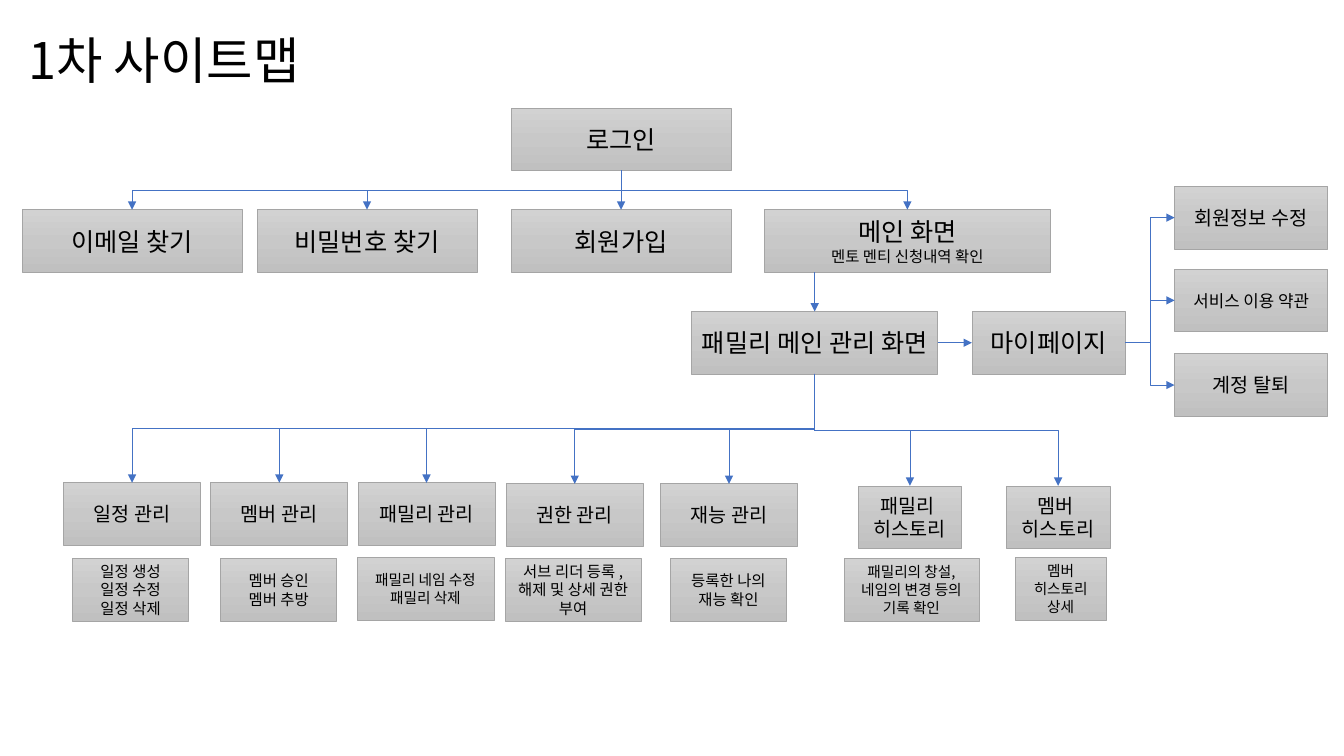
import copy

import pptx
import pptx.dml.color
import pptx.enum.shapes
import pptx.enum.text
import pptx.oxml.ns
import pptx.util
from lxml import etree

PX = 9144
FONT = "Noto Sans CJK KR"
BLACK = pptx.dml.color.RGBColor(0x00, 0x00, 0x00)
BLUE = pptx.dml.color.RGBColor(0x44, 0x72, 0xC4)
BORDER = pptx.dml.color.RGBColor(0xA5, 0xA5, 0xA5)
GRAYS = [
    pptx.dml.color.RGBColor(0xD2, 0xD2, 0xD2),
    pptx.dml.color.RGBColor(0xC8, 0xC8, 0xC8),
    pptx.dml.color.RGBColor(0xC0, 0xC0, 0xC0),
]
PAGE_HEIGHT = 62

MENUS = [
    ((63, 479, 136), ["일정 관리"], (72, 554, 115), 11, ["일정 생성", "일정 수정", "일정 삭제"]),
    ((209, 479, 136), ["멤버 관리"], (219, 554, 115), 11, ["멤버 승인", "멤버 추방"]),
    ((355, 479, 136), ["패밀리 관리"], (354, 553, 136), 10.5, ["패밀리 네임 수정", "패밀리 삭제"]),
    ((502, 480, 136), ["권한 관리"], (501, 554, 135), 11, ["서브 리더 등록 , 해제 및 상세 권한 부여"]),
    ((655, 480, 136), ["재능 관리"], (665, 554, 115), 11, ["등록한 나의 재능 확인"]),
    ((851, 482, 103), ["패밀리 ", "히스토리"], (837, 554, 134), 10.5, ["패밀리의 창설, 네임의 변경 등의 기록 확인"]),
    ((998, 482, 103), ["멤버 ", "히스토리"], (1007, 553, 90), 10.5, ["멤버", "히스토리 상세"]),
]
ACCOUNT_PAGES = [
    (185, 14, "회원정보 수정"),
    (267, 12, "서비스 이용 약관"),
    (351, 14, "계정 탈퇴"),
]


def px(length):
    return pptx.util.Emu(round(length * PX))


def add_run(paragraph, text, size):
    run = paragraph.add_run()
    run.text = text
    run.font.name = FONT
    run.font.size = pptx.util.Pt(size)
    run.font.color.rgb = BLACK
    east_asian = etree.SubElement(run.font._element, pptx.oxml.ns.qn("a:ea"))
    east_asian.set("typeface", FONT)


def add_line(frame, text, size):
    paragraph = frame.paragraphs[0]
    if paragraph.runs:
        paragraph = frame.add_paragraph()
    paragraph.alignment = pptx.enum.text.PP_ALIGN.CENTER
    add_run(paragraph, text, size)


def fill_gray(page):
    page.fill.gradient()
    page.fill.gradient_angle = 270
    stops = page._element.spPr.find(".//" + pptx.oxml.ns.qn("a:gsLst"))
    stops.insert(1, copy.deepcopy(stops[0]))
    for stop, position, gray in zip(page.fill.gradient_stops, (0, 0.5, 1), GRAYS):
        stop.position = position
        stop.color.rgb = gray


def add_page(slide, place, size, lines):
    left, top, width = place
    page = slide.shapes.add_shape(
        pptx.enum.shapes.MSO_SHAPE.RECTANGLE, px(left), px(top), px(width), px(PAGE_HEIGHT))
    page.shadow.inherit = False
    fill_gray(page)
    page.line.color.rgb = BORDER
    page.line.width = pptx.util.Pt(0.5)
    page.text_frame.word_wrap = True
    page.text_frame.vertical_anchor = pptx.enum.text.MSO_ANCHOR.MIDDLE
    for line in lines:
        add_line(page.text_frame, line, size)
    return page


def add_arrow(slide, kind, start, end):
    arrow = slide.shapes.add_connector(
        kind, *(pptx.util.Emu(round(value)) for value in (*start, *end)))
    arrow.line.color.rgb = BLUE
    arrow.line.width = pptx.util.Pt(0.5)
    head = etree.SubElement(arrow.line._get_or_add_ln(), pptx.oxml.ns.qn("a:tailEnd"))
    head.set("type", "triangle")
    etree.SubElement(arrow._element.spPr, pptx.oxml.ns.qn("a:effectLst"))
    return arrow


def link_straight(slide, start, end):
    add_arrow(slide, pptx.enum.shapes.MSO_CONNECTOR.STRAIGHT, start, end)


def link_down(slide, parent, child):
    start_x, start_y = parent.left + parent.width / 2, parent.top + parent.height
    end_x, end_y = child.left + child.width / 2, child.top
    middle_x, middle_y = (start_x + end_x) / 2, (start_y + end_y) / 2
    half_drop, half_run = (end_y - start_y) / 2, abs(end_x - start_x) / 2
    if end_x > start_x:
        half_drop, angle = -half_drop, 270
    else:
        angle = 90
    arrow = add_arrow(
        slide, pptx.enum.shapes.MSO_CONNECTOR.ELBOW,
        (middle_x - half_drop, middle_y - half_run),
        (middle_x + half_drop, middle_y + half_run))
    frame = arrow._element.spPr.find(pptx.oxml.ns.qn("a:xfrm"))
    frame.set("rot", str(angle * 60000))


def link_right(slide, parent, child):
    add_arrow(
        slide, pptx.enum.shapes.MSO_CONNECTOR.ELBOW,
        (parent.left + parent.width, parent.top + parent.height / 2),
        (child.left, child.top + child.height / 2))


def add_title(slide, text):
    title = slide.shapes.title
    title.left, title.top, title.width, title.height = px(18), px(31), px(1150), px(145)
    frame = title.text_frame
    frame.word_wrap = True
    frame.auto_size = pptx.enum.text.MSO_AUTO_SIZE.NONE
    frame.vertical_anchor = pptx.enum.text.MSO_ANCHOR.TOP
    heading = frame.paragraphs[0]
    heading.alignment = pptx.enum.text.PP_ALIGN.LEFT
    heading.line_spacing = 0.9
    add_run(heading, text, 36)


def main():
    deck = pptx.Presentation()
    deck.slide_width, deck.slide_height = px(1333), px(750)
    slide = deck.slides.add_slide(deck.slide_layouts[5])
    add_title(slide, "1차 사이트맵")

    login = add_page(slide, (507, 107, 218), 18, ["로그인"])
    find_email = add_page(slide, (22, 208, 218), 18, ["이메일 찾기"])
    find_password = add_page(slide, (255, 208, 218), 18, ["비밀번호 찾기"])
    sign_up = add_page(slide, (507, 208, 218), 18, ["회원가입"])
    home = add_page(slide, (758, 208, 284), 18, ["메인 화면"])
    add_line(home.text_frame, "멘토 멘티 신청내역 확인", 11)
    family = add_page(slide, (686, 309, 244), 18, ["패밀리 메인 관리 화면"])
    my_page = add_page(slide, (964, 309, 152), 18, ["마이페이지"])

    for entry in (find_email, find_password, home):
        link_down(slide, login, entry)
    login_center = login.left + login.width / 2
    link_straight(slide, (login_center, login.top + login.height), (login_center, sign_up.top))
    family_center = family.left + family.width / 2
    link_straight(slide, (family_center, home.top + home.height), (family_center, family.top))
    family_middle = family.top + family.height / 2
    link_straight(slide, (family.left + family.width, family_middle), (my_page.left, family_middle))

    for menu_place, menu_lines, detail_place, detail_size, detail_lines in MENUS:
        menu = add_page(slide, menu_place, 14, menu_lines)
        add_page(slide, detail_place, detail_size, detail_lines)
        link_down(slide, family, menu)

    for top, size, label in ACCOUNT_PAGES:
        link_right(slide, my_page, add_page(slide, (1165, top, 152), size, [label]))

    deck.save("out.pptx")


if __name__ == "__main__":
    main()
